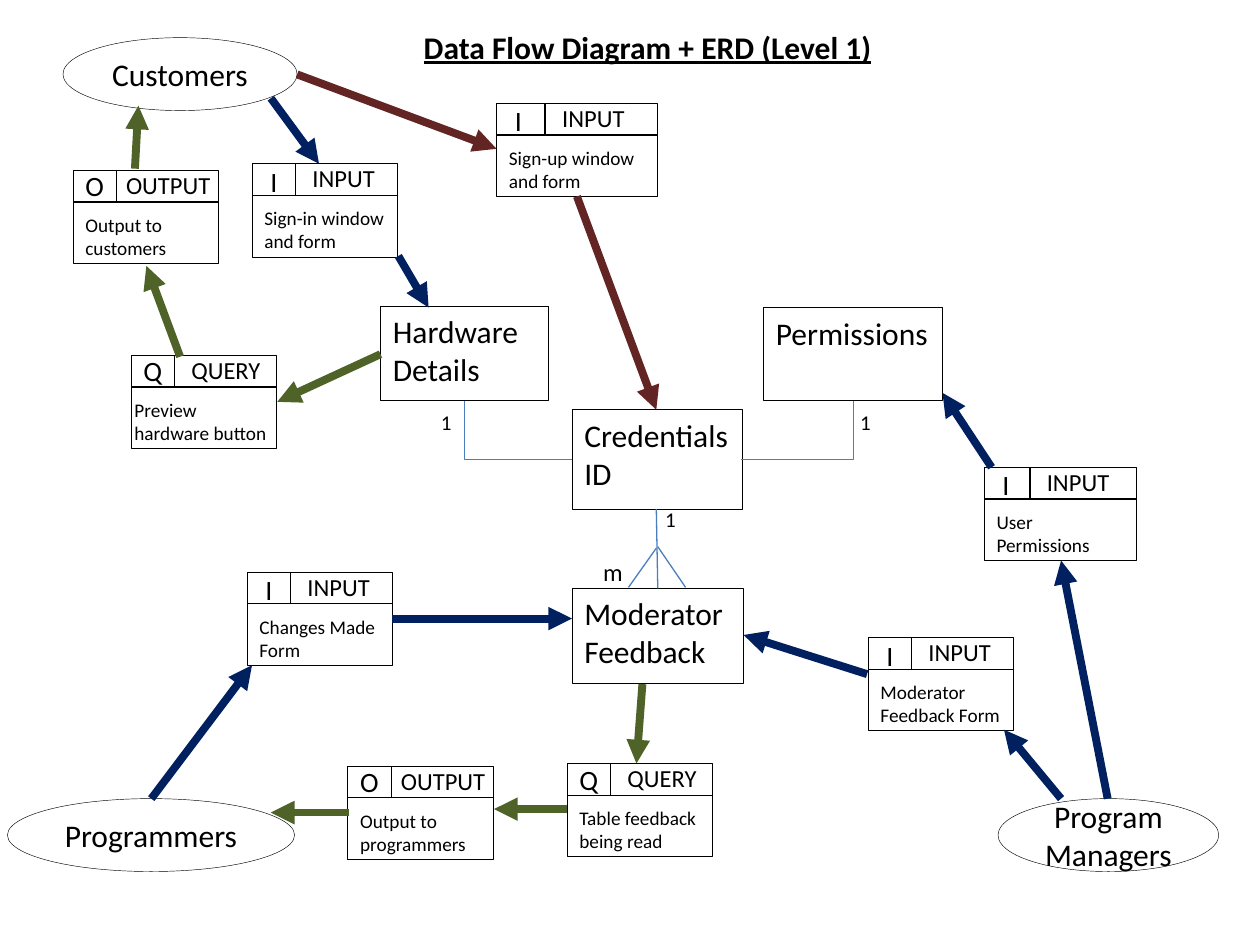
from pptx import Presentation
from pptx.dml.color import RGBColor
from pptx.enum.shapes import MSO_CONNECTOR as Link, MSO_SHAPE as Kind
from pptx.enum.text import MSO_ANCHOR as Anchor, MSO_AUTO_SIZE as Fit, PP_ALIGN as Align
from pptx.oxml.ns import qn
from pptx.util import Cm, Pt
from lxml.etree import SubElement

BLACK, WHITE, BLUE = "000000", "FFFFFF", "4B7EBC"
NAVY, GREEN, RED = "002060", "4F6228", "632523"

# Card type: code letter, code shift (x, y), name start and width as shares of the card
TYPES = {
    "INPUT": ("I", 0.12, -0.11, 0.33, 0.61),
    "QUERY": ("Q", 0, -0.15, 0.33, 0.66),
    "OUTPUT": ("O", 0, -0.15, 0.28, 0.76),
}
CARDS = [  # left, top, width, type, body, body widening
    (17.5, 12.85, 2.93, "INPUT", "Moderator Feedback Form", 0),
    (11.43, 15.39, 2.93, "QUERY", "Table feedback being read", 0),
    (4.98, 11.53, 2.93, "INPUT", "Changes Made Form", 0),
    (5.08, 3.3, 2.93, "INPUT", "Sign-in window and form", 0),
    (19.84, 9.42, 3.07, "INPUT", "User Permissions", 0),
    (2.64, 7.16, 2.93, "QUERY", "Preview hardware button", 0.18),
    (7.01, 15.44, 2.93, "OUTPUT", "Output to programmers", 0),
    (1.47, 3.43, 2.93, "OUTPUT", "Output to customers", 0),
    (10.01, 2.08, 3.25, "INPUT", "Sign-up window and form", 0),
]
ACTORS = [
    ("Customers", 1.27, 0.76, 4.72),
    ("Programmers", 0.15, 16.1, 5.79),
    ("Program Managers", 20.12, 16.1, 4.45),
]
TABLES = [
    ("Credentials ID", 11.53, 8.26, 3.44, 2.01),
    ("Hardware Details", 7.67, 6.17, 3.38, 1.91),
    ("Permissions", 15.39, 6.2, 3.61, 1.88),
    ("Moderator Feedback", 11.53, 11.86, 3.45, 1.91),
]
COUNTS = [
    ("1", 8.64, 8.13, 12), ("1", 17.09, 8.13, 12),
    ("m", 11.91, 11.1, 14), ("1", 13.16, 10.08, 12),
]
BENDS = [(11.53, 9.27, 9.37, 8.08), (14.94, 9.27, 17.2, 8.08)]
FORK = [
    (13.23, 10.26, 13.26, 11.86),
    (13.82, 11.84, 13.26, 11.02),
    (12.67, 11.84, 13.23, 11.05),
]
FLOWS = {
    NAVY: [
        (21.39, 16.1, 20.24, 14.71), (3.05, 16.1, 5.08, 13.41),
        (7.9, 12.47, 11.53, 12.47), (17.48, 13.59, 14.99, 12.8),
        (22.33, 16.1, 21.39, 11.3), (19.99, 9.42, 19, 7.92),
        (5.46, 1.98, 6.43, 3.3), (8.03, 5.16, 8.64, 6.2),
    ],
    GREEN: [
        (12.95, 13.79, 12.83, 15.39), (11.43, 16.31, 9.96, 16.31),
        (7.67, 7.14, 5.59, 8.1), (3.63, 7.19, 2.95, 5.36),
        (7.04, 16.38, 5.46, 16.38), (2.72, 3.4, 2.79, 2.13),
    ],
    RED: [(5.99, 1.5, 10.01, 3), (11.63, 3.96, 13.23, 8.26)],
}


def rgb(code):
    return RGBColor.from_string(code)


def write(shape, text, size, align=Align.LEFT, anchor=Anchor.TOP, wrap=True):
    frame = shape.text_frame
    frame.text = text
    frame.word_wrap = wrap
    frame.auto_size = Fit.NONE
    frame.vertical_anchor = anchor
    para = frame.paragraphs[0]
    para.alignment = align
    font = para.font
    font.name, font.size = "Calibri", Pt(size)
    font.color.rgb = rgb(BLACK)
    return font


def label(shapes, text, box, size, wrap=True):
    write(shapes.add_textbox(*map(Cm, box)), text, size, wrap=wrap)


def outline(shapes, kind, box, fill=None):
    shape = shapes.add_shape(kind, *map(Cm, box))
    shape.shadow.inherit = False
    if fill:
        shape.fill.solid()
        shape.fill.fore_color.rgb = rgb(fill)
    else:
        shape.fill.background()
    shape.line.color.rgb = rgb(BLACK)
    shape.line.width = Pt(0.25)
    return shape


def join(shapes, ends, color, width=0.75, bent=False, arrow=False):
    link = shapes.add_connector(Link.ELBOW if bent else Link.STRAIGHT, *map(Cm, ends))
    link.line.color.rgb = rgb(color)
    link.line.width = Pt(width)
    props = link._element.spPr
    if bent:  # a single corner
        props.find(qn("a:prstGeom")).set("prst", "bentConnector2")
    if arrow:
        SubElement(props.find(qn("a:ln")), qn("a:tailEnd"), type="triangle")
    SubElement(props, qn("a:effectLst"))


def heading(slide, text, box):
    title = slide.shapes.title
    title.left, title.top, title.width, title.height = map(Cm, box)
    font = write(title, text, 18, Align.CENTER)
    font.bold = font.underline = True


def actor(shapes, name, x, y, w):
    oval = outline(shapes, Kind.OVAL, (x, y, w, 1.47), WHITE)
    write(oval, name, 18, Align.CENTER, Anchor.MIDDLE)


def table(shapes, name, *box):
    write(outline(shapes, Kind.RECTANGLE, box), name, 18)


def card(slide, x, y, w, name, body, extra):
    code, dx, dy, start, share = TYPES[name]
    shapes = slide.shapes.add_group_shape().shapes
    head, split = y + 0.64, x + 0.3 * w
    outline(shapes, Kind.RECTANGLE, (x, y, w, 1.88))
    join(shapes, (x, head, x + w, head), BLACK)
    join(shapes, (split, head, split, y), BLACK)
    label(shapes, body, (x - extra, y + 0.74, w + 0.05 + 1.5 * extra, 1.19), 11)
    label(shapes, code, (x + dx, y + dy, 0.97, 0.94), 16)
    label(shapes, name, (x + start * w, y - 0.13, share * w, 0.86), 14, False)


def main():
    deck = Presentation()
    deck.slide_width, deck.slide_height = Cm(25.4), Cm(19.05)
    slide = deck.slides.add_slide(deck.slide_layouts[5])
    shapes = slide.shapes
    heading(slide, "Data Flow Diagram + ERD (Level 1)", (7.67, 0.43, 10.77, 1.02))

    # People and entities
    for item in ACTORS:
        actor(shapes, *item)
    for item in TABLES:
        table(shapes, *item)

    # Relations and their counts
    for ends in BENDS:
        join(shapes, ends, BLUE, bent=True)
    for ends in FORK:
        join(shapes, ends, BLUE)
    for text, x, y, size in COUNTS:
        label(shapes, text, (x, y, 0.06 * size, 0.76), size, False)

    # Input, query and output cards
    for item in CARDS:
        card(slide, *item)

    # Data flows
    for color, flows in FLOWS.items():
        for ends in flows:
            join(shapes, ends, color, 4.5, arrow=True)

    deck.save("out.pptx")


if __name__ == "__main__":
    main()
